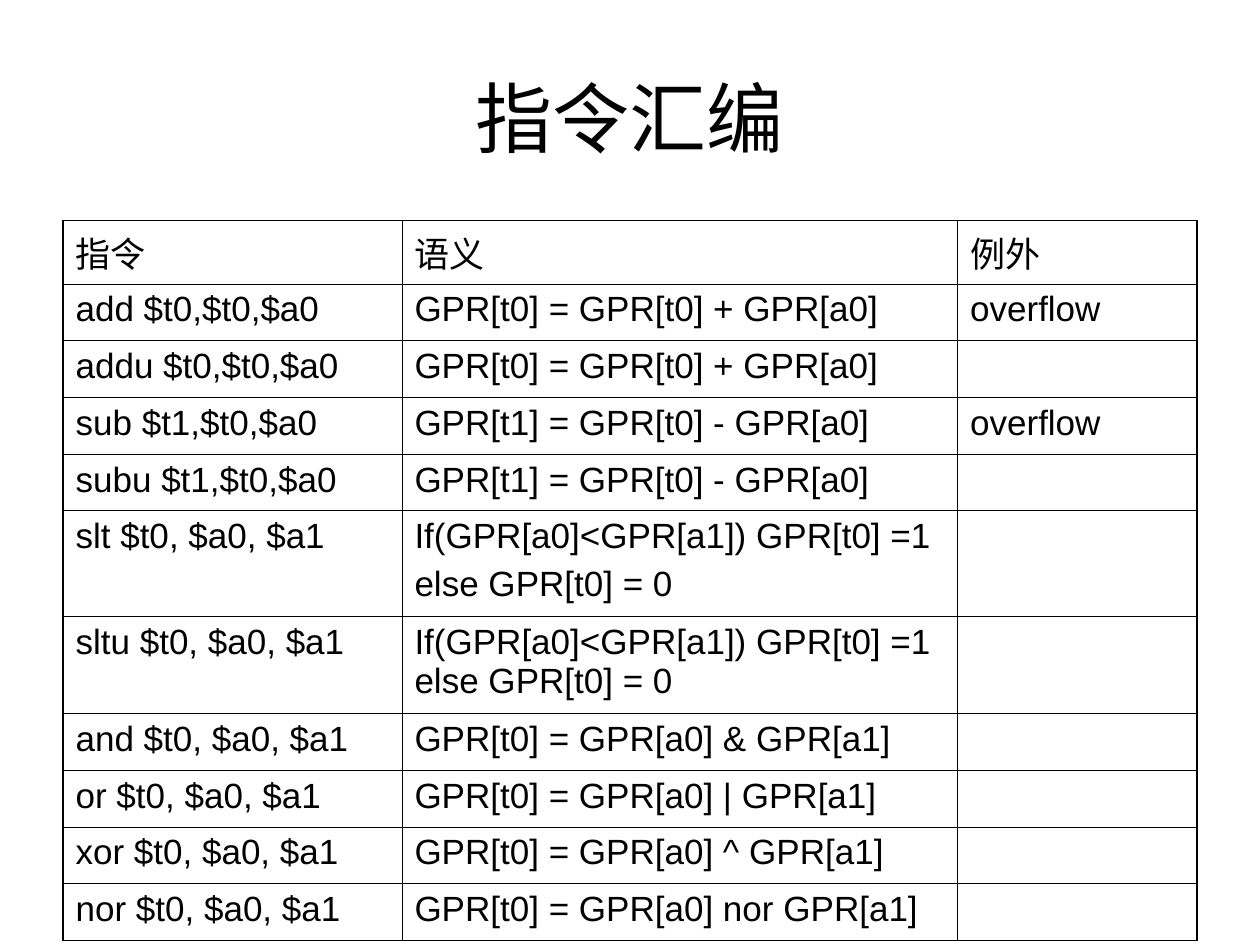
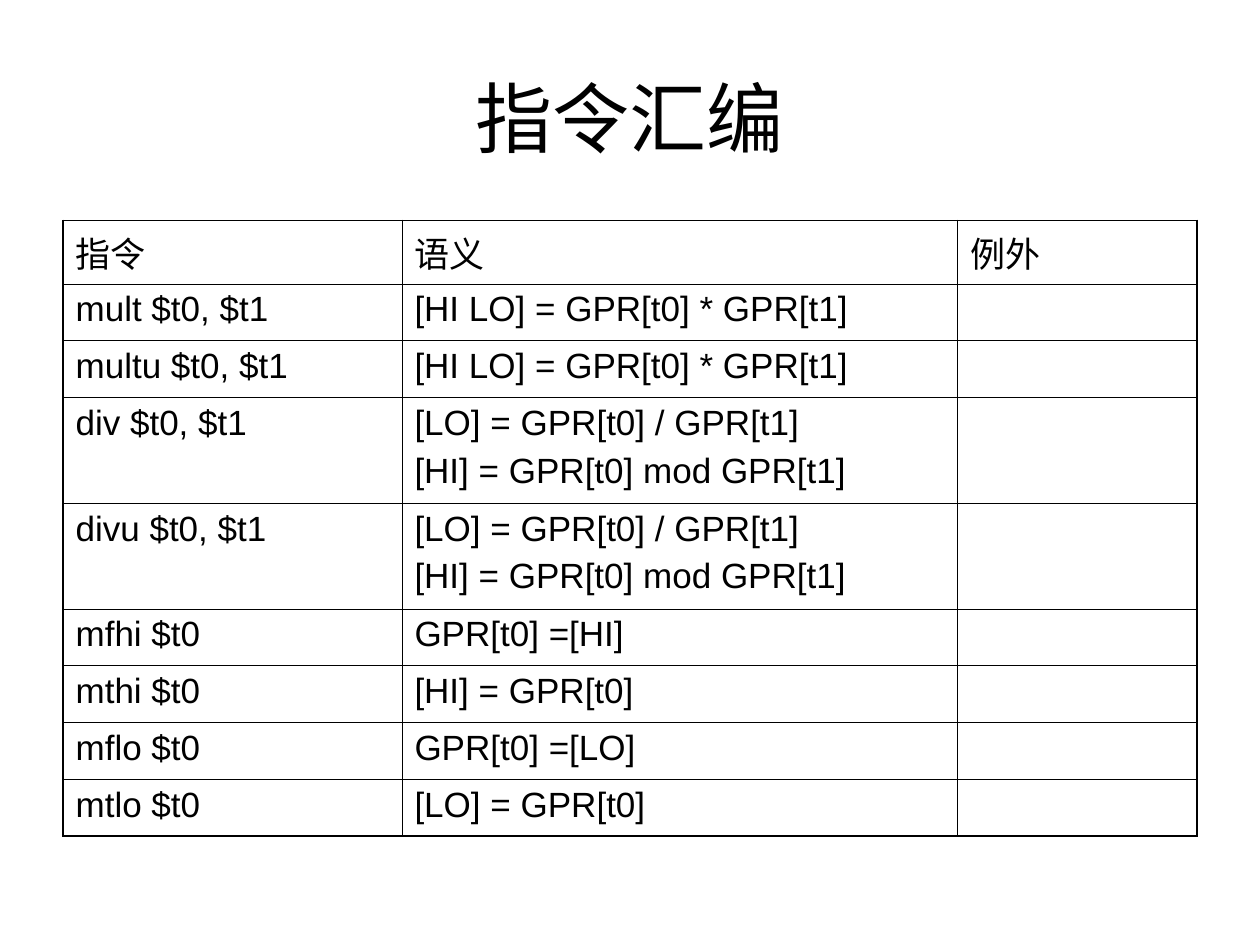
from dataclasses import dataclass

from lxml import etree
from pptx import Presentation
from pptx.dml.color import RGBColor
from pptx.enum.text import MSO_ANCHOR, PP_ALIGN
from pptx.oxml.ns import qn
from pptx.util import Inches, Pt

CENTER, LEFT = PP_ALIGN.CENTER, PP_ALIGN.LEFT
MIDDLE, TOP = MSO_ANCHOR.MIDDLE, MSO_ANCHOR.TOP
TITLE_ONLY = 5


@dataclass(frozen=True)
class Theme:
    font: str = "Arial"
    ink: str = "000000"
    paper: str = "FFFFFF"
    title_size: float = 44
    cell_size: float = 20
    cell_gap: float = 5
    outer_line: float = 1.08
    inner_line: float = 0.45


GRID_COLS, GRID_ROWS = 20, 150
TITLE_BOX = (1, 6, 18, 25)
TABLE_LEFT, TABLE_TOP = 1, 35
TABLE_COLS = (5.38, 8.82, 3.8)
ONE_LINE, TWO_PARAGRAPHS, WRAPPED = 9, 16.8, 15.4
WRAP_AT = 40

TITLE = "指令汇编"
HEADER = ("指令", "语义", "例外")
COMPARE = "If(GPR[a0]<GPR[a1]) GPR[t0] =1"
OTHERWISE = "else GPR[t0] = 0"
DIVIDE = "[LO] = GPR[t0] / GPR[t1]\n[HI] = GPR[t0] mod GPR[t1]"

ARITHMETIC_LOGIC = [
    ("add $t0,$t0,$a0", "GPR[t0] = GPR[t0] + GPR[a0]", "overflow"),
    ("addu $t0,$t0,$a0", "GPR[t0] = GPR[t0] + GPR[a0]", ""),
    ("sub $t1,$t0,$a0", "GPR[t1] = GPR[t0] - GPR[a0]", "overflow"),
    ("subu $t1,$t0,$a0", "GPR[t1] = GPR[t0] - GPR[a0]", ""),
    ("slt $t0, $a0, $a1", f"{COMPARE}\n{OTHERWISE}", ""),
    ("sltu $t0, $a0, $a1", f"{COMPARE} {OTHERWISE}", ""),
    ("and $t0, $a0, $a1", "GPR[t0] = GPR[a0] & GPR[a1]", ""),
    ("or $t0, $a0, $a1", "GPR[t0] = GPR[a0] | GPR[a1]", ""),
    ("xor $t0, $a0, $a1", "GPR[t0] = GPR[a0] ^ GPR[a1]", ""),
    ("nor $t0, $a0, $a1", "GPR[t0] = GPR[a0] nor GPR[a1]", ""),
]
MULTIPLY_DIVIDE = [
    ("mult $t0, $t1", "[HI LO] = GPR[t0] * GPR[t1]", ""),
    ("multu $t0, $t1", "[HI LO] = GPR[t0] * GPR[t1]", ""),
    ("div $t0, $t1", DIVIDE, ""),
    ("divu $t0, $t1", DIVIDE, ""),
    ("mfhi $t0", "GPR[t0] =[HI]", ""),
    ("mthi $t0", "[HI] = GPR[t0]", ""),
    ("mflo $t0", "GPR[t0] =[LO]", ""),
    ("mtlo $t0", "[LO] = GPR[t0]", ""),
]


def write(tf, text, *, font, size, color, align=LEFT, before=0):
    for i, line in enumerate(text.split("\n")):
        p = tf.add_paragraph() if i else tf.paragraphs[0]
        p.alignment = align
        p.space_before = Pt(before)
        p.font.size = Pt(size)
        if line:
            r = p.add_run()
            r.text = line
            r.font.name = font
            r.font.size = Pt(size)
            r.font.color.rgb = RGBColor.from_string(color)


def row_height(meaning):
    if "\n" in meaning:
        return TWO_PARAGRAPHS
    return WRAPPED if len(meaning) > WRAP_AT else ONE_LINE


def set_borders(cell, color, widths):
    tc_pr = cell._tc.get_or_add_tcPr()
    for i, (side, width) in enumerate(widths.items()):
        ln = etree.Element(qn(f"a:ln{side}"), w=str(Pt(width)))
        fill = etree.SubElement(ln, qn("a:solidFill"))
        etree.SubElement(fill, qn("a:srgbClr"), val=color)
        tc_pr.insert(i, ln)


class Deck:
    def __init__(self, theme):
        self.theme = theme
        self.prs = Presentation()
        self.prs.slide_width = Inches(10)
        self.prs.slide_height = Inches(7.5)
        self.s = None

    def x(self, cols):
        return round(self.prs.slide_width * cols / GRID_COLS)

    def y(self, rows):
        return round(self.prs.slide_height * rows / GRID_ROWS)

    def add_slide(self):
        self.s = self.prs.slides.add_slide(self.prs.slide_layouts[TITLE_ONLY])
        fill = self.s.background.fill
        fill.solid()
        fill.fore_color.rgb = RGBColor.from_string(self.theme.paper)

    def title(self, text):
        t, sp = self.theme, self.s.shapes.title
        left, top, width, height = TITLE_BOX
        sp.left, sp.top = self.x(left), self.y(top)
        sp.width, sp.height = self.x(width), self.y(height)
        sp.text_frame.vertical_anchor = MIDDLE
        write(sp.text_frame, text, font=t.font, size=t.title_size,
              color=t.ink, align=CENTER)

    def table(self, rows):
        heights = [row_height(meaning) for _, meaning, _ in rows]
        table = self.s.shapes.add_table(
            len(rows), len(TABLE_COLS), self.x(TABLE_LEFT), self.y(TABLE_TOP),
            self.x(sum(TABLE_COLS)), self.y(sum(heights))).table
        table.first_row = table.horz_banding = False
        for column, width in zip(table.columns, TABLE_COLS):
            column.width = self.x(width)
        for i, (values, height) in enumerate(zip(rows, heights)):
            table.rows[i].height = self.y(height)
            for j, text in enumerate(values):
                edges = {"L": j == 0, "R": j == len(values) - 1,
                         "T": i == 0, "B": i == len(rows) - 1}
                self.cell(table.cell(i, j), text, edges)

    def cell(self, cell, text, edges):
        t = self.theme
        cell.margin_left = cell.margin_right = Inches(0.1)
        cell.margin_top = cell.margin_bottom = Inches(0.05)
        cell.vertical_anchor = TOP
        cell.fill.background()
        write(cell.text_frame, text, font=t.font, size=t.cell_size,
              color=t.ink, before=t.cell_gap)
        set_borders(cell, t.ink, {
            side: t.outer_line if outer else t.inner_line
            for side, outer in edges.items()})


def main():
    deck = Deck(Theme())
    for instructions in (ARITHMETIC_LOGIC, MULTIPLY_DIVIDE):
        deck.add_slide()
        deck.title(TITLE)
        deck.table([HEADER, *instructions])
    deck.prs.save("out.pptx")


if __name__ == "__main__":
    main()
